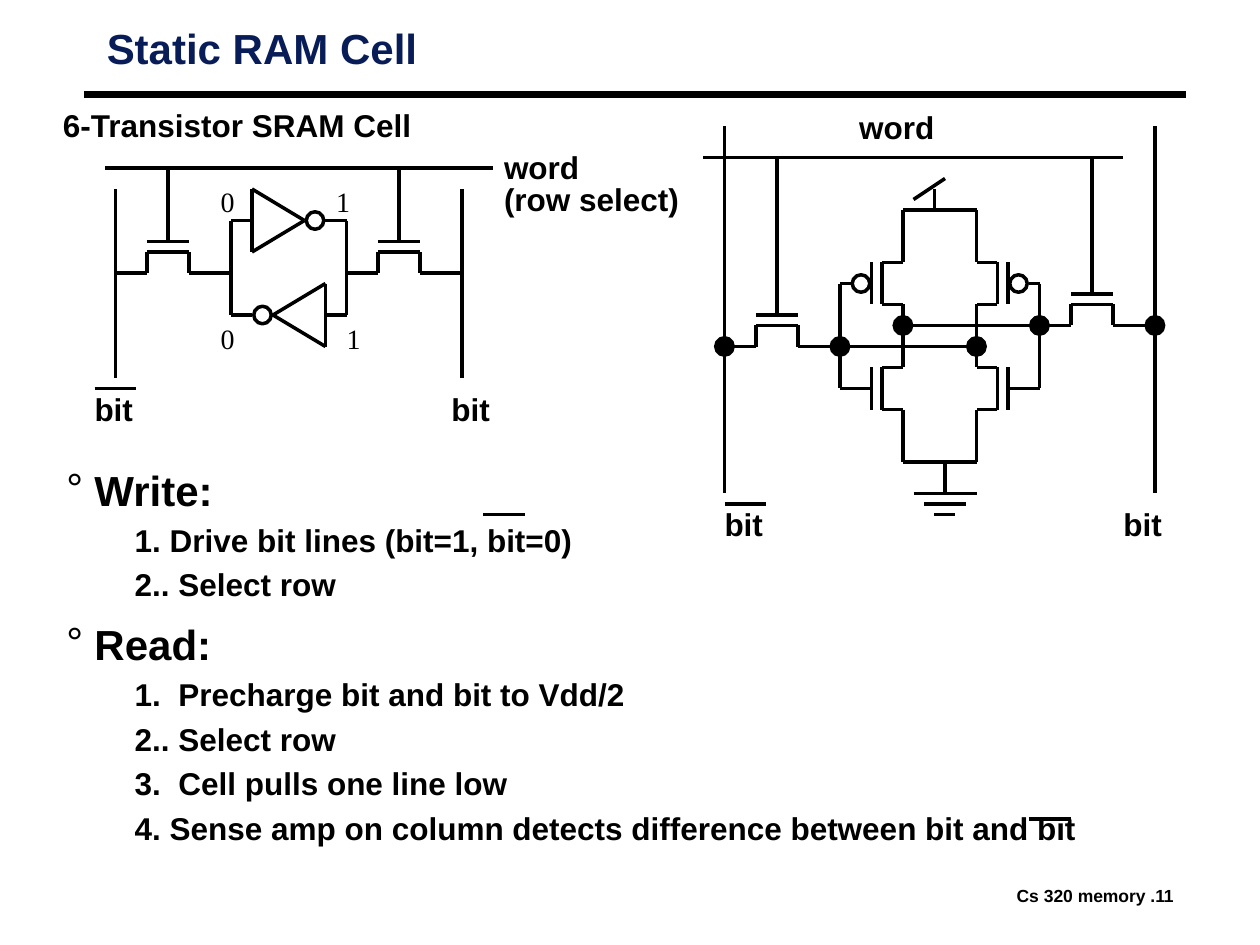
from lxml import etree
from pptx import Presentation
from pptx.dml.color import RGBColor
from pptx.enum import shapes, text
from pptx.oxml import ns
from pptx.util import Pt

THEME = {
    "ink": RGBColor(0, 0, 0), "title": RGBColor(0x08, 0x1D, 0x58),
    "sans": "Arial", "serif": "Times New Roman",
    "head": 24, "label": 18, "digit": 16, "foot": 10,
    "wire": 2, "rule": 4.5, "dot_line": 1,
}
GRID = 6
MIRROR = 179

TITLE = "Static RAM Cell"
STEPS = [
    ("Write:", ["1. Drive bit lines (bit=1, bit=0)", "2.. Select row"]),
    ("Read:", ["1.  Precharge bit and bit to Vdd/2", "2.. Select row",
               "3.  Cell pulls one line low",
               "4. Sense amp on column detects difference between bit and bit"]),
]
LABELS = [
    ("6-Transistor SRAM Cell", 31, 62, 210, 22),
    ("word\n(row select)", 283, 86, 110, 41),
    ("word", 486, 63, 53, 22),
    ("bit", 49, 224, 32, 22), ("bit", 253, 224, 32, 22),
    ("bit", 409, 290, 32, 22), ("bit", 637, 290, 32, 22),
]
DIGITS = [("1", 191, 180), ("0", 119, 180), ("0", 119, 102), ("1", 185, 102)]
FOOTER = ("Cs 320 memory .11", 576, 504, 102, 16)

RULE = [(8, 9), (113, 9)]
WORD_LINES = [[(10, 16), (47, 16)], [(67, 15), (107, 15)]]
BIT_LINES = [[(x, top), (x, end)] for x, top, end in
             [(11, 18, 36), (44, 18, 36), (69, 12, 47), (110, 12, 47)]]
OVERBARS = [[(x, y), (x + 4, y)] for x, y in
            [(9, 37), (69, 48), (46, 49), (98, 78)]]
INVERTERS = [
    [(24, 18), (24, 24), (29, 21), (24, 18)],
    [(31, 27), (31, 33), (26, 30), (31, 27)],
    [(31, 21), (33, 21), (33, 30), (31, 30)],
    [(24, 30), (22, 30), (22, 21), (24, 21)],
]
HALF_CELL = [
    [(86, 20), (86, 25), (84, 25), (84, 29), (86, 29), (86, 35),
     (84, 35), (84, 39), (86, 39), (86, 44)],
    [(83, 25), (83, 29)], [(83, 35), (83, 39)],
    [(81, 27), (80, 27), (80, 37), (83, 37)],
]
SUPPLY = [[(86, 20), (93, 20)], [(89, 20), (89, 18)], [(87, 19), (90, 17)]]
GROUND = [[(86, 44), (93, 44)], [(90, 44), (90, 47)], [(87, 47), (93, 47)],
          [(88, 48), (92, 48)], [(89, 49), (91, 49)]]
ACCESS = [(14, 26, 11, 22, 16), (36, 26, 33, 44, 16),
          (72, 33, 69, 93, 15), (102, 31, 86, 110, 15)]
BUBBLES = [(30, 21), (25, 30), (82, 27), (97, 27)]
NODES = [(69, 33), (80, 33), (93, 33), (86, 31), (99, 31), (110, 31)]


def put(obj, values):
    for name, value in values.items():
        setattr(obj, name, value)


def access_transistor(x, y, left, right, word):
    return [
        [(left, y), (x, y), (x, y - 2), (x + 4, y - 2), (x + 4, y), (right, y)],
        [(x, y - 3), (x + 4, y - 3)],
        [(x + 2, y - 3), (x + 2, word)],
    ]


def add_wire(s, points, width):
    for a, b in zip(points, points[1:]):
        line = s.shapes.add_connector(
            shapes.MSO_CONNECTOR.STRAIGHT, *[Pt(v * GRID) for v in a + b])
        line.line.color.rgb = THEME["ink"]
        line.line.width = Pt(width)
        etree.SubElement(line._element.spPr, ns.qn("a:effectLst"))


def add_circle(s, center, size, width, filled):
    x, y = [v * GRID - size / 2 for v in center]
    sp = s.shapes.add_shape(shapes.MSO_SHAPE.OVAL, Pt(x), Pt(y), Pt(size), Pt(size))
    sp.shadow.inherit = False
    sp.line.color.rgb = THEME["ink"]
    sp.line.width = Pt(width)
    if filled:
        sp.fill.solid()
        sp.fill.fore_color.rgb = THEME["ink"]
    else:
        sp.fill.background()


def set_frame(tf, wrap, side=5, edge=2):
    put(tf, {"word_wrap": wrap, "auto_size": text.MSO_AUTO_SIZE.NONE,
             "vertical_anchor": text.MSO_ANCHOR.TOP,
             "margin_left": Pt(side), "margin_right": Pt(side),
             "margin_top": Pt(edge), "margin_bottom": Pt(edge)})


def set_text(p, words, size, spacing, color="ink", font="sans", bold=True, before=0):
    r = p.add_run()
    r.text = words
    put(r.font, {"name": THEME[font], "size": Pt(THEME[size]), "bold": bold})
    r.font.color.rgb = THEME[color]
    put(p, {"alignment": text.PP_ALIGN.LEFT, "line_spacing": spacing,
            "space_before": Pt(before)})


def place(sp, *box):
    put(sp, dict(zip(("left", "top", "width", "height"), map(Pt, box))))


def add_label(s, words, box, size, spacing, margins=(5, 2), **style):
    tf = s.shapes.add_textbox(*map(Pt, box)).text_frame
    set_frame(tf, False, *margins)
    for i, row in enumerate(words.split("\n")):
        p = tf.add_paragraph() if i else tf.paragraphs[0]
        set_text(p, row, size, spacing, **style)


def set_indent(p, left, hanging, bullet=None):
    pPr = p._p.get_or_add_pPr()
    pPr.set("marL", str(Pt(left)))
    pPr.set("indent", str(Pt(-hanging)))
    mark = etree.SubElement(pPr, ns.qn("a:buChar" if bullet else "a:buNone"))
    if bullet:
        mark.set("char", bullet)


prs = Presentation()
put(prs, {"slide_width": Pt(720), "slide_height": Pt(540)})
s = prs.slides.add_slide(prs.slide_layouts[1])
title, body = s.placeholders[0], s.placeholders[1]

place(title, 56, 15, 200, 29)
set_frame(title.text_frame, True)
set_text(title.text_frame.paragraphs[0], TITLE, "head", 0.87, "title")

place(body, 33, 270, 645, 228)
tf = body.text_frame
set_frame(tf, True)
for i, (heading, steps) in enumerate(STEPS):
    p = tf.add_paragraph() if i else tf.paragraphs[0]
    set_text(p, heading, "head", 0.75, before=15.4)
    set_indent(p, 16, 16, "°")
    for step in steps:
        p = tf.add_paragraph()
        p.level = 1
        set_text(p, step, "label", 0.85, before=7.2)
        set_indent(p, 54, 15)

add_wire(s, RULE, THEME["rule"])
wires = WORD_LINES + BIT_LINES + OVERBARS + INVERTERS + HALF_CELL + SUPPLY + GROUND
wires += [[(MIRROR - x, y) for x, y in wire] for wire in HALF_CELL]
for spot in ACCESS:
    wires += access_transistor(*spot)
for wire in wires:
    add_wire(s, wire, THEME["wire"])
for center in BUBBLES:
    add_circle(s, center, 10, THEME["wire"], False)
for center in NODES:
    add_circle(s, center, 11, THEME["dot_line"], True)

for words, *box in LABELS:
    add_label(s, words, box, "label", 0.85)
for words, x, y in DIGITS:
    add_label(s, words, (x, y, 22, 26), "digit", 1.0, (7.2, 3.6),
              font="serif", bold=False)
add_label(s, FOOTER[0], FOOTER[1:], "foot", 1.0)

prs.save("out.pptx")
